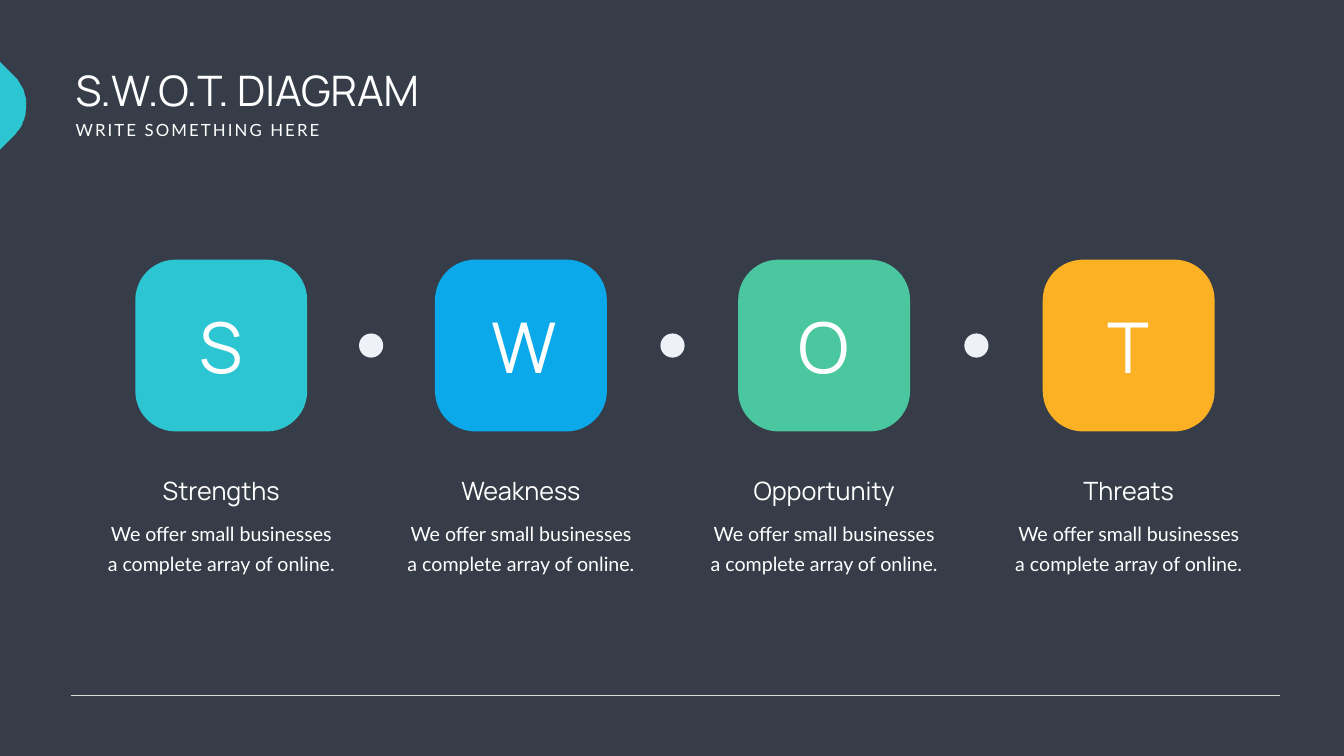
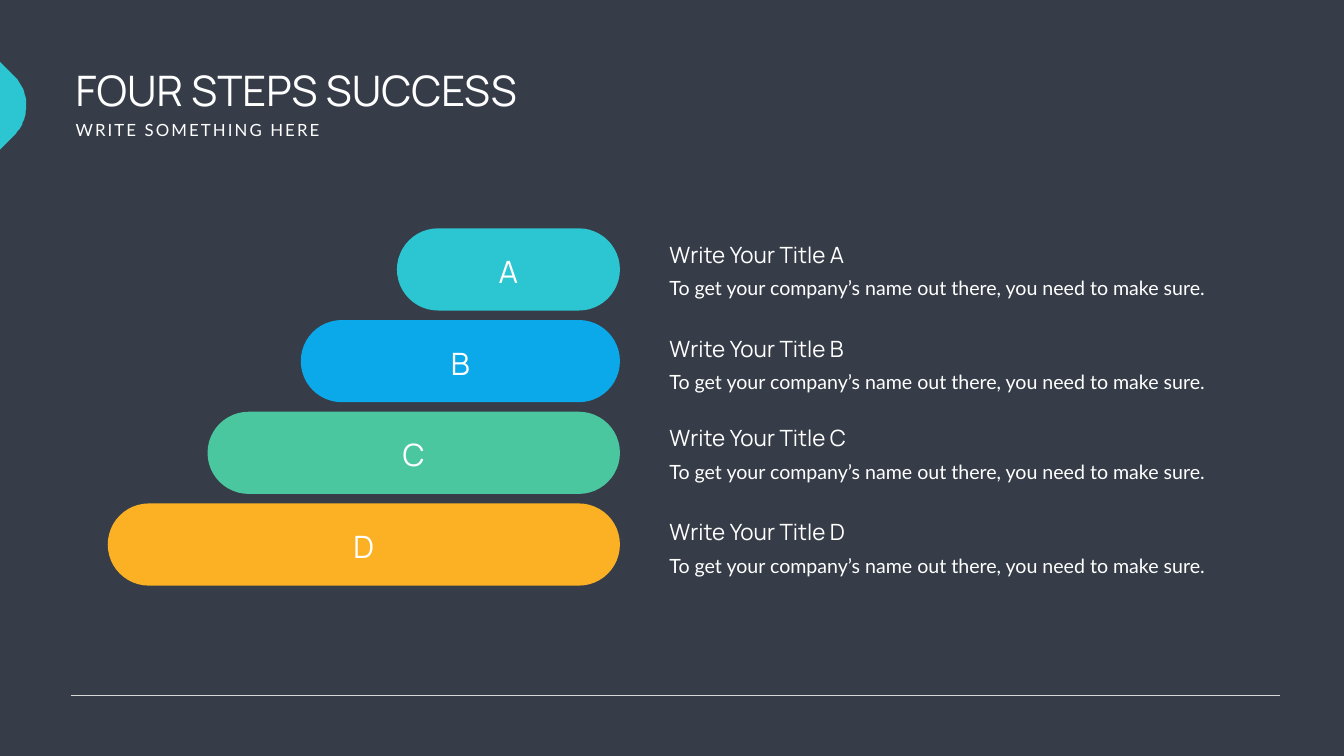
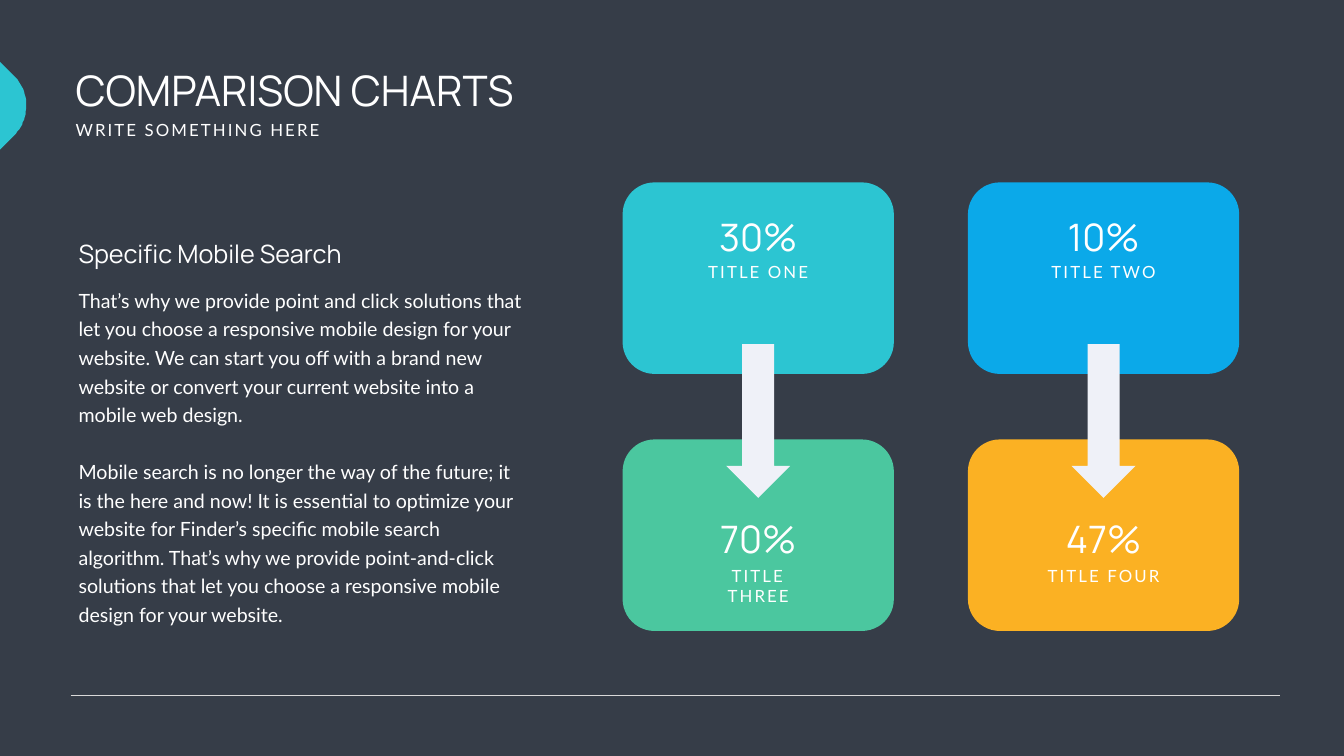
import math
from itertools import pairwise

from lxml import etree
from pptx import Presentation
from pptx.dml import color
from pptx.enum import shapes, text
from pptx.oxml import ns
from pptx.util import Pt

# Shared style
WIDTH, HEIGHT = 1919.52, 1080
BACKGROUND, WHITE, PALE, RULE = "363D48", "FFFFFF", "EFF1F8", "D9D9D9"
TEAL = "2CC5D2"
ACCENTS = (TEAL, "0BA9E9", "4BC79F", "FBB123")
DISPLAY, BODY = "Manrope", "Lato"
CENTER = {"alignment": text.PP_ALIGN.CENTER}
FORMS = shapes.MSO_SHAPE


def rgb(value):
    return color.RGBColor.from_string(value)


def apply(target, values):
    for name, value in values.items():
        setattr(target, name, value)


class Deck:
    """Holds the presentation style and the slide being drawn."""

    def __init__(self):
        self.file = Presentation()
        apply(self.file, {"slide_width": Pt(WIDTH), "slide_height": Pt(HEIGHT)})
        self.slide = None

    def new_slide(self, title):
        self.slide = self.file.slides.add_slide(self.file.slide_layouts[6])
        self.paint(self.slide.background, BACKGROUND)
        self.rule(100.8, 993, 1828.8)
        self.label(title, 100.8, 89.3, 1156, 80, 60)
        self.label("WRITE SOMETHING HERE", 100.8, 167.8, 370, 36, 24, BODY,
                   spacing=3, wrap=False)
        self.edge_badge(89.3, 61.6, 151.2)

    def paint(self, part, fill):
        part.fill.solid()
        part.fill.fore_color.rgb = rgb(fill)

    def finish(self, shape, fill):
        self.paint(shape, fill)
        shape.line.fill.background()
        shape.shadow.inherit = False
        return shape

    def rule(self, left, y, right):
        line = self.slide.shapes.add_connector(
            shapes.MSO_CONNECTOR.STRAIGHT, Pt(left), Pt(y), Pt(right), Pt(y))
        line.line.color.rgb = rgb(RULE)
        line.line.width = Pt(0.5)
        etree.SubElement(line._element.spPr, ns.qn("a:effectLst"))

    def edge_badge(self, side, radius, center_y):
        """Half square with one round corner, turned to point right."""
        steps = 24
        angles = [math.pi / 2 * i / steps for i in range(steps + 1)]
        arc = [(radius * (1 - math.cos(a)), side - radius * (1 - math.sin(a)))
               for a in angles]
        outline = self.slide.shapes.build_freeform(0, 0, scale=Pt(1))
        outline.add_line_segments([*arc, (side, side)], close=True)
        badge = outline.convert_to_shape(Pt(-side / 2), Pt(center_y - side / 2))
        self.finish(badge, TEAL).rotation = 225

    def shape(self, form, left, top, width, height, fill, corner=None):
        shape = self.slide.shapes.add_shape(
            form, Pt(left), Pt(top), Pt(width), Pt(height))
        if corner is not None:
            shape.adjustments[0] = corner
        return self.finish(shape, fill)

    def label(self, words, left, top, width, height, size, font=DISPLAY,
              spacing=0, wrap=True, margins=None, **layout):
        """Text box; each line of words is one paragraph."""
        box = self.slide.shapes.add_textbox(
            Pt(left), Pt(top), Pt(width), Pt(height))
        frame = box.text_frame
        apply(frame, {"word_wrap": wrap, "text": words,
                      "auto_size": text.MSO_AUTO_SIZE.SHAPE_TO_FIT_TEXT,
                      **(margins or {})})
        for paragraph in frame.paragraphs:
            apply(paragraph, layout)
            for run in paragraph.runs:
                apply(run.font, {"name": font, "size": Pt(size)})
                run.font.color.rgb = rgb(WHITE)
                if spacing:
                    run._r.get_or_add_rPr().set("spc", str(spacing * 100))
        return frame

    def centered_label(self, words, center, top, width, height, size, *args, **more):
        self.label(words, center - width / 2, top, width, height, size,
                   *args, **CENTER, **more)


def swot(deck):
    deck.new_slide("S.W.O.T. DIAGRAM")
    centers = (316, 744, 1177, 1612)
    headings = ("Strengths", "Weakness", "Opportunity", "Threats")
    tile, dot, middle = 245.5, 34.5, 493.6
    margins = {"margin_left": Pt(17.3), "margin_right": Pt(17.3),
               "margin_top": Pt(8.6), "margin_bottom": Pt(8.6)}
    for center, heading, fill in zip(centers, headings, ACCENTS):
        deck.shape(FORMS.ROUNDED_RECTANGLE, center - tile / 2, middle - tile / 2,
                   tile, tile, fill, 0.235)
        deck.centered_label(heading[0], center, 430, 98, 128, 100, spacing=6)
        deck.centered_label(heading, center, 675.4, 249, 51, 36)
        deck.centered_label("We offer small businesses a complete array of online.",
                            center, 727.2, 360, 99.4, 28, BODY,
                            margins=margins, line_spacing=Pt(43))
    # Dots halfway between neighbouring tiles
    for before, after in pairwise(centers):
        deck.shape(FORMS.OVAL, (before + after - dot) / 2, middle - dot / 2,
                   dot, dot, PALE)


def steps(deck):
    deck.new_slide("FOUR STEPS SUCCESS")
    bar_right, bar_height, pitch = 885.4, 117.4, 131
    widths = (318.5, 455.8, 589, 731.5)
    title_tops = (340.6, 474.5, 602.6, 737.3)
    for i, (letter, width, title_top, fill) in enumerate(
            zip("ABCD", widths, title_tops, ACCENTS)):
        top = 326.2 + i * pitch
        deck.shape(FORMS.ROUNDED_RECTANGLE, bar_right - width, top,
                   width, bar_height, fill, 0.5)
        deck.centered_label(letter, bar_right - width / 2, top + 31, 83, 60.5, 44)
        deck.label(f"Write Your Title {letter}", 949, title_top, 288, 46, 32,
                   wrap=False)
        deck.label("To get your company’s name out there, you need to make sure.",
                   949, title_top + 41, 816.5, 46.8, 28, BODY, line_spacing=Pt(43))


def comparison(deck):
    deck.new_slide("COMPARISON CHARTS")
    card_width, card_height = 387.4, 273.6
    lefts, tops = (889.2, 1382.4), (260.6, 627.8)
    # Offsets of value and label within the upper and lower cards
    offsets = ((41, 110), (106, 176.4))
    cards = (("30%", "TITLE ONE"), ("10%", "TITLE TWO"),
             ("70%", "TITLE THREE"), ("47%", "TITLE FOUR"))
    for i, ((value, caption), fill) in enumerate(zip(cards, ACCENTS)):
        row, column = divmod(i, 2)
        left, top = lefts[column], tops[row]
        center = left + card_width / 2
        value_offset, caption_offset = offsets[row]
        deck.shape(FORMS.ROUNDED_RECTANGLE, left, top, card_width, card_height, fill)
        deck.centered_label(value, center, top + value_offset, 152.6, 72.7, 54)
        deck.centered_label(caption, center, top + caption_offset, 180, 36, 24, BODY,
                            spacing=3, wrap=False)

    # Arrows from the upper to the lower cards
    length, thickness = 219.6, 91.4
    for left in lefts:
        arrow = deck.shape(FORMS.RIGHT_ARROW, left + (card_width - length) / 2,
                           555.8, length, thickness, PALE)
        arrow.rotation = 90

    # Text column
    deck.label("Specific Mobile Search", 105.1, 339.8, 532.8, 49, 36,
               line_spacing=Pt(40.8))
    story = deck.label(
        "That’s why we provide point and click solutions that let you choose "
        "a responsive mobile design for your website. We can start you off with "
        "a brand new website or convert your current website into a mobile web "
        "design.\n"
        "Mobile search is no longer the way of the future; it is the here and now! "
        "It is essential to optimize your website for Finder’s specific mobile "
        "search algorithm. That’s why we provide point-and-click solutions that "
        "let you choose a responsive mobile design for your website.",
        105.1, 401.8, 653.8, 499.7, 28, BODY, line_spacing=Pt(40.8))
    story.paragraphs[1].space_before = Pt(40.8)


def main():
    deck = Deck()
    for build in (swot, steps, comparison):
        build(deck)
    deck.file.save("out.pptx")


if __name__ == "__main__":
    main()
